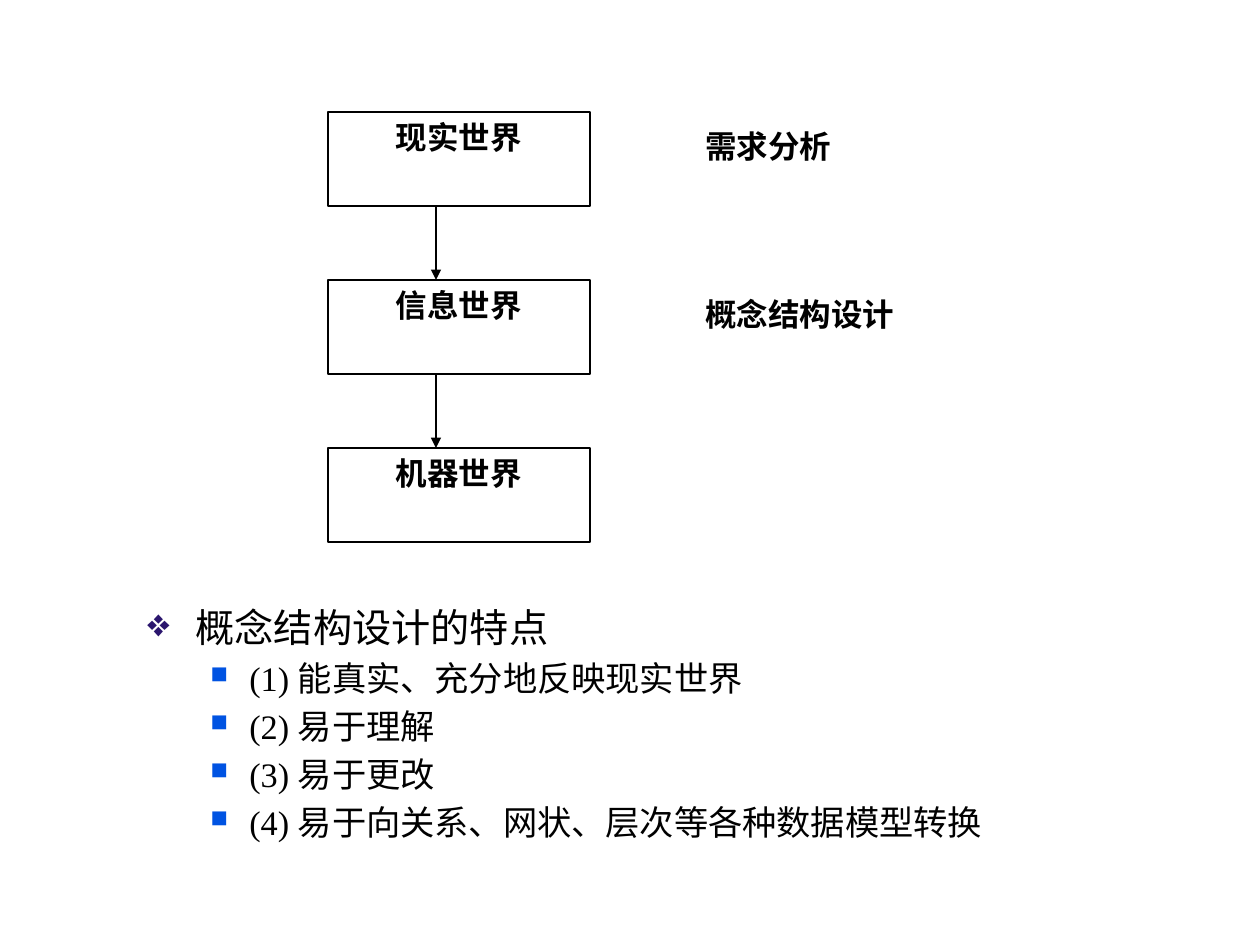
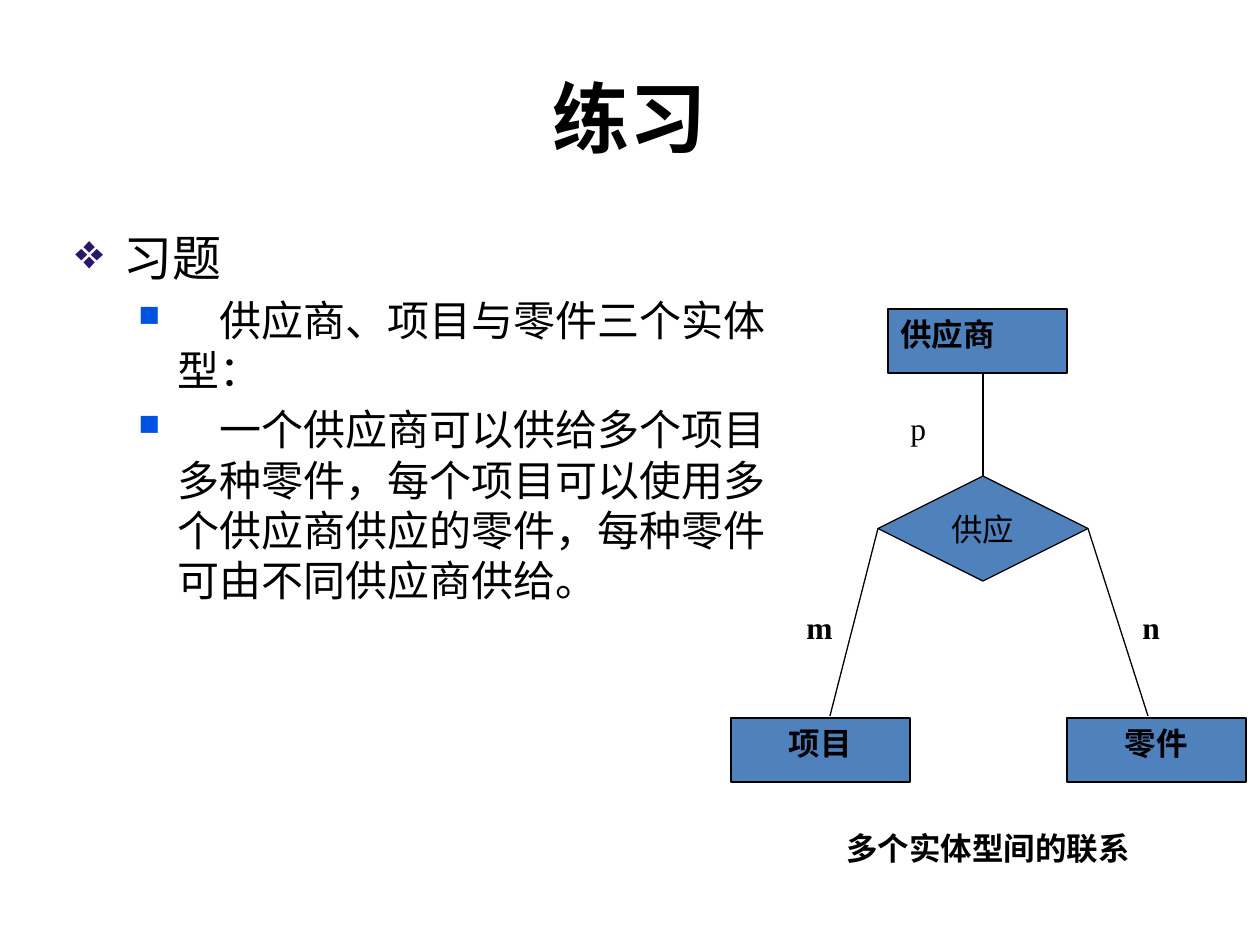
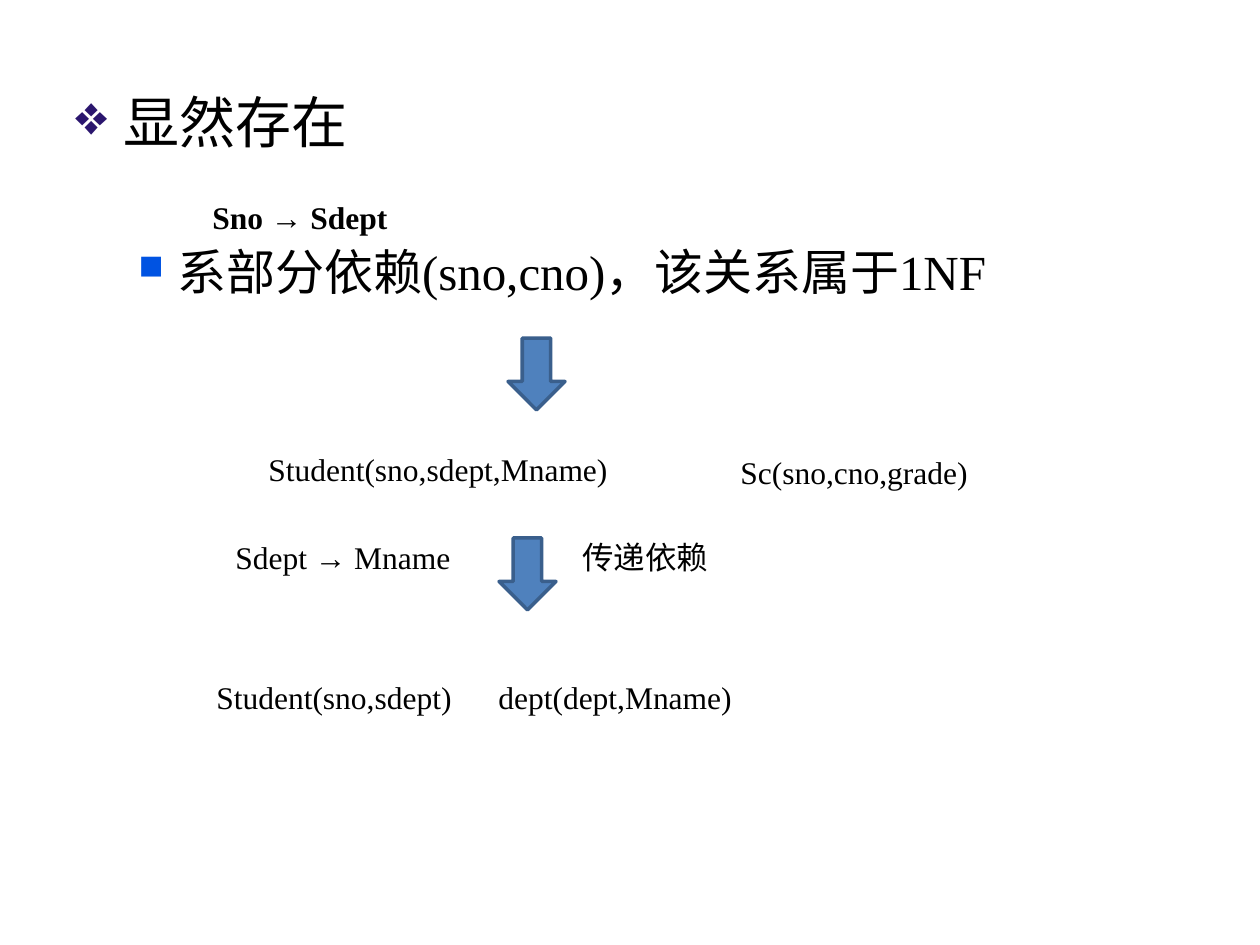
from lxml.etree import SubElement
from pptx import Presentation
from pptx.dml.color import RGBColor
from pptx.enum.shapes import MSO_CONNECTOR, MSO_SHAPE
from pptx.enum.text import MSO_ANCHOR, PP_ALIGN
from pptx.oxml.ns import qn
from pptx.util import Emu, Pt

PX = 914400 / 126
BLACK, BLUE, DARK_BLUE = "000000", "4F81BD", "3A5F8C"
SERIF, SANS = "Times New Roman", "Arial"
TITLE_ONLY, BLANK = 5, 6
BULLETS = [
    {"char": "❖", "color": "2B166E", "size": 100, "margin": 48, "hang": 48},
    {"char": "■", "color": "0053E2", "size": 70, "margin": 102, "hang": 39},
]


def px(length):
    """Turn a length in px into EMU."""
    return Emu(round(length * PX))


def place(*lengths):
    """Turn several px lengths into EMU."""
    return [px(length) for length in lengths]


def paint(color_format, color):
    """Give a colour format the colour of a hex string."""
    color_format.rgb = RGBColor.from_string(color)


def style(para, size=18, bold=False, align=PP_ALIGN.LEFT, font=SERIF):
    """Set the font and alignment of a paragraph."""
    para.alignment = align
    para.font.name = font
    para.font.size = Pt(size)
    para.font.bold = bold
    paint(para.font.color, BLACK)


def add_bullet(para, level):
    """Give a paragraph the bullet and indent of its level."""
    bullet = BULLETS[level]
    para.level = level
    properties = para._p.get_or_add_pPr()
    properties.set("marL", str(px(bullet["margin"])))
    properties.set("indent", str(-px(bullet["hang"])))
    color = SubElement(properties, qn("a:buClr"))
    SubElement(color, qn("a:srgbClr"), val=bullet["color"])
    SubElement(properties, qn("a:buSzPct"), val=str(bullet["size"] * 1000))
    SubElement(properties, qn("a:buChar"), char=bullet["char"])


def add_tab_stop(para, position):
    """Add a left tab stop to a paragraph."""
    stops = SubElement(para._p.get_or_add_pPr(), qn("a:tabLst"))
    SubElement(stops, qn("a:tab"), pos=str(px(position)), algn="l")


def add_text(page, text, bounds, tab=None, **look):
    """Add a wrapping one-paragraph text box."""
    frame = page.shapes.add_textbox(*place(*bounds)).text_frame
    frame.word_wrap = True
    para = frame.paragraphs[0]
    para.text = text
    if tab:
        add_tab_stop(para, tab)
    style(para, **look)


def add_outline(page, bounds, heading, items, sizes, gap=None):
    """Add a heading with bulleted items; gap is the space under the heading."""
    frame = page.shapes.add_textbox(*place(*bounds)).text_frame
    frame.word_wrap = True
    for index, text in enumerate([heading, *items]):
        level = min(index, 1)
        para = frame.add_paragraph() if index else frame.paragraphs[0]
        para.text = text
        add_bullet(para, level)
        if index:
            para.space_before = Pt(gap if gap and index == 1 else sizes[1] * 0.2)
        style(para, sizes[level])


def add_figure(page, kind, bounds, fill=None, line=BLACK, width=0.75):
    """Add a preset shape with an outline and an optional fill."""
    figure = page.shapes.add_shape(kind, *place(*bounds))
    figure.shadow.inherit = False
    if fill:
        figure.fill.solid()
        paint(figure.fill.fore_color, fill)
    else:
        figure.fill.background()
    paint(figure.line.color, line)
    figure.line.width = Pt(width)
    return figure


def add_node(page, kind, text, bounds, fill=None, anchor=MSO_ANCHOR.TOP, **look):
    """Add a shape that carries a label."""
    node = add_figure(page, kind, bounds, fill)
    frame = node.text_frame
    frame.word_wrap = True
    frame.vertical_anchor = anchor
    frame.paragraphs[0].text = text
    style(frame.paragraphs[0], **look)
    return node


def add_line(page, start, end, arrow=False):
    """Add a thin straight line, with an arrowhead at its end if asked."""
    line = page.shapes.add_connector(MSO_CONNECTOR.STRAIGHT, *place(*start, *end))
    paint(line.line.color, BLACK)
    line.line.width = Pt(0.75)
    if arrow:
        SubElement(line.line._get_or_add_ln(), qn("a:tailEnd"), type="triangle")
    SubElement(line._element.spPr, qn("a:effectLst"))
    return line


def add_page(deck, title=None):
    """Add a slide, with a centred title if one is given."""
    page = deck.slides.add_slide(deck.slide_layouts[TITLE_ONLY if title else BLANK])
    if title:
        box = page.shapes.title
        box.left, box.top, box.width, box.height = place(63, 38, 1134, 158)
        box.text_frame.text = title
        box.text_frame.vertical_anchor = MSO_ANCHOR.MIDDLE
        style(box.text_frame.paragraphs[0], 44, True, PP_ALIGN.CENTER, SANS)
    return page


def build_concept_page(deck):
    """Build the slide on the three worlds and conceptual design."""
    page = add_page(deck)
    top, height, step = 112, 94, 168
    for index, world in enumerate(["现实世界", "信息世界", "机器世界"]):
        add_node(page, MSO_SHAPE.RECTANGLE, world, (328, top + step * index, 262, height),
                 bold=True, align=PP_ALIGN.CENTER)
    for index, phase in enumerate(["需求分析", "概念结构设计"]):
        y = top + step * index
        add_line(page, (436, y + height), (436, y + step), arrow=True)
        add_text(page, phase, (693, y + 9, 253, 74), bold=True)
    add_outline(page, (135, 597, 886, 267), "概念结构设计的特点", [
        "(1) 能真实、充分地反映现实世界",
        "(2) 易于理解",
        "(3) 易于更改",
        "(4) 易于向关系、网状、层次等各种数据模型转换",
    ], (22.4, 19.6))


def build_exercise_page(deck):
    """Build the exercise slide with its entity diagram."""
    page = add_page(deck, "练习")
    add_outline(page, (63, 221, 728, 624), "习题", [
        "　供应商、项目与零件三个实体型：",
        "　一个供应商可以供给多个项目多种零件，每个项目可以使用多个供应商供应的零件，"
        "每种零件可由不同供应商供给。",
    ], (28, 24))
    for entity, x, y, align in [
        ("供应商", 888, 309, PP_ALIGN.LEFT),
        ("项目", 731, 718, PP_ALIGN.CENTER),
        ("零件", 1067, 718, PP_ALIGN.CENTER),
    ]:
        add_node(page, MSO_SHAPE.RECTANGLE, entity, (x, y, 179, 64), BLUE,
                 bold=True, align=align)
    supply = add_node(page, MSO_SHAPE.DIAMOND, "供应", (878, 476, 210, 105), BLUE,
                      MSO_ANCHOR.MIDDLE, align=PP_ALIGN.CENTER)
    for site, start, end in [
        (0, (983, 476), (983, 372)),
        (1, (878, 529), (830, 716)),
        (3, (1088, 529), (1148, 716)),
    ]:
        add_line(page, start, end).begin_connect(supply, site)
    for degree, x, y, bold in [
        ("p", 898, 403, False), ("m", 794, 602, True), ("n", 1130, 602, True),
    ]:
        add_text(page, degree, (x, y, 53, 63), bold=bold)
    add_text(page, "多个实体型间的联系", (731, 823, 514, 63),
             bold=True, align=PP_ALIGN.CENTER)


def build_normal_form_page(deck):
    """Build the slide that splits a relation into normal forms."""
    page = add_page(deck)
    add_outline(page, (63, 81, 1134, 791), "显然存在",
                ["系部分依赖(sno,cno)，该关系属于1NF"], (32, 28), gap=50)
    for x, y in [(508, 338), (499, 538)]:
        add_figure(page, MSO_SHAPE.DOWN_ARROW, (x, y, 57, 72), BLUE, DARK_BLUE, 2)
    add_text(page, "Sno → Sdept", (200, 192, 214, 50), bold=True)
    for text, x, y, width in [
        ("Student(sno,sdept,Mname)", 256, 444, 380),
        ("Sc(sno,cno,grade)", 728, 447, 326),
        ("Sdept → Mname", 223, 532, 255),
        ("传递依赖", 570, 532, 164),
    ]:
        add_text(page, text, (x, y, width, 50))
    add_text(page, "Student(sno,sdept)\tdept(dept,Mname)", (204, 672, 560, 50), tab=282)


def main():
    """Build and save the deck."""
    deck = Presentation()
    deck.slide_width, deck.slide_height = place(1260, 945)
    build_concept_page(deck)
    build_exercise_page(deck)
    build_normal_form_page(deck)
    deck.save("out.pptx")


if __name__ == "__main__":
    main()
